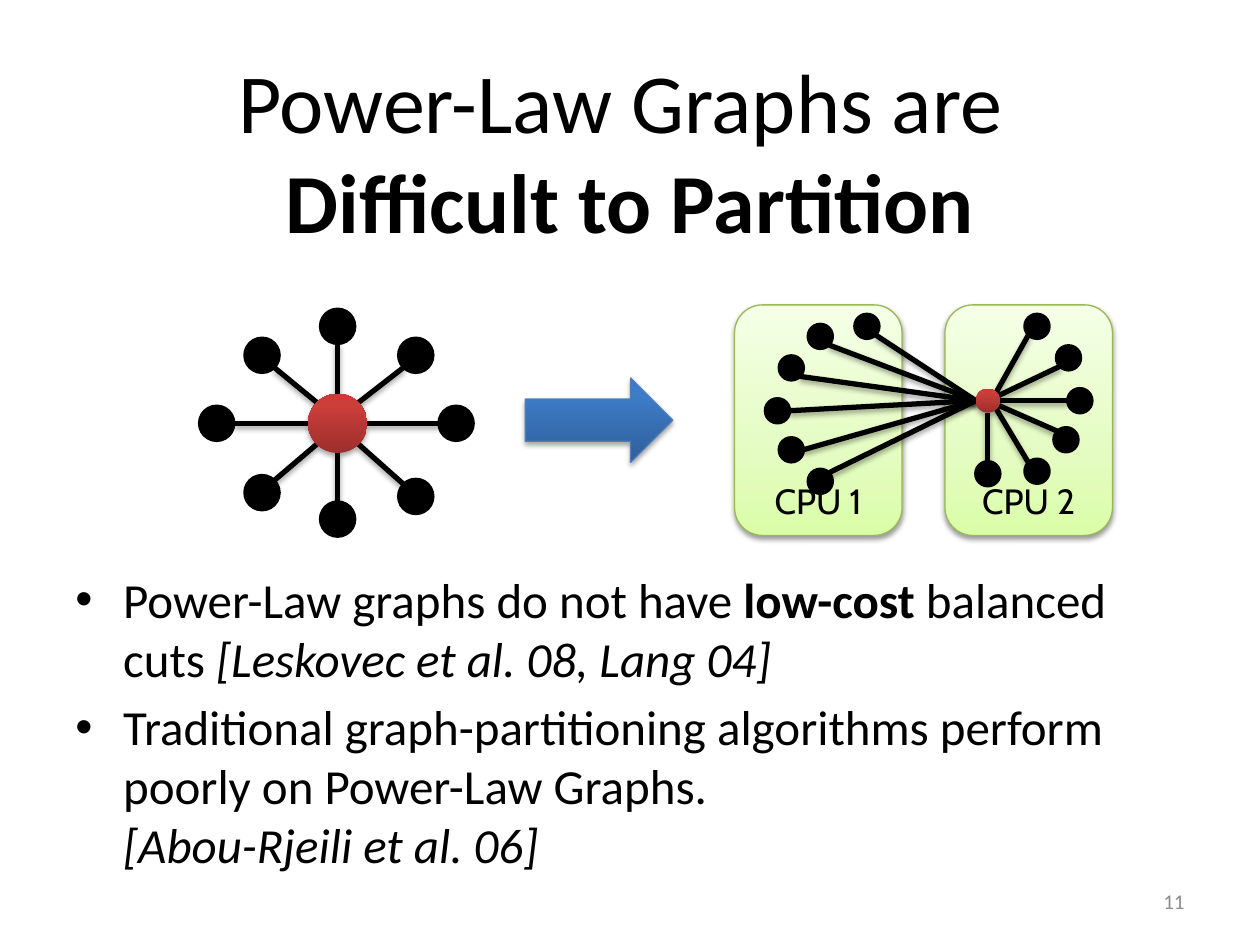
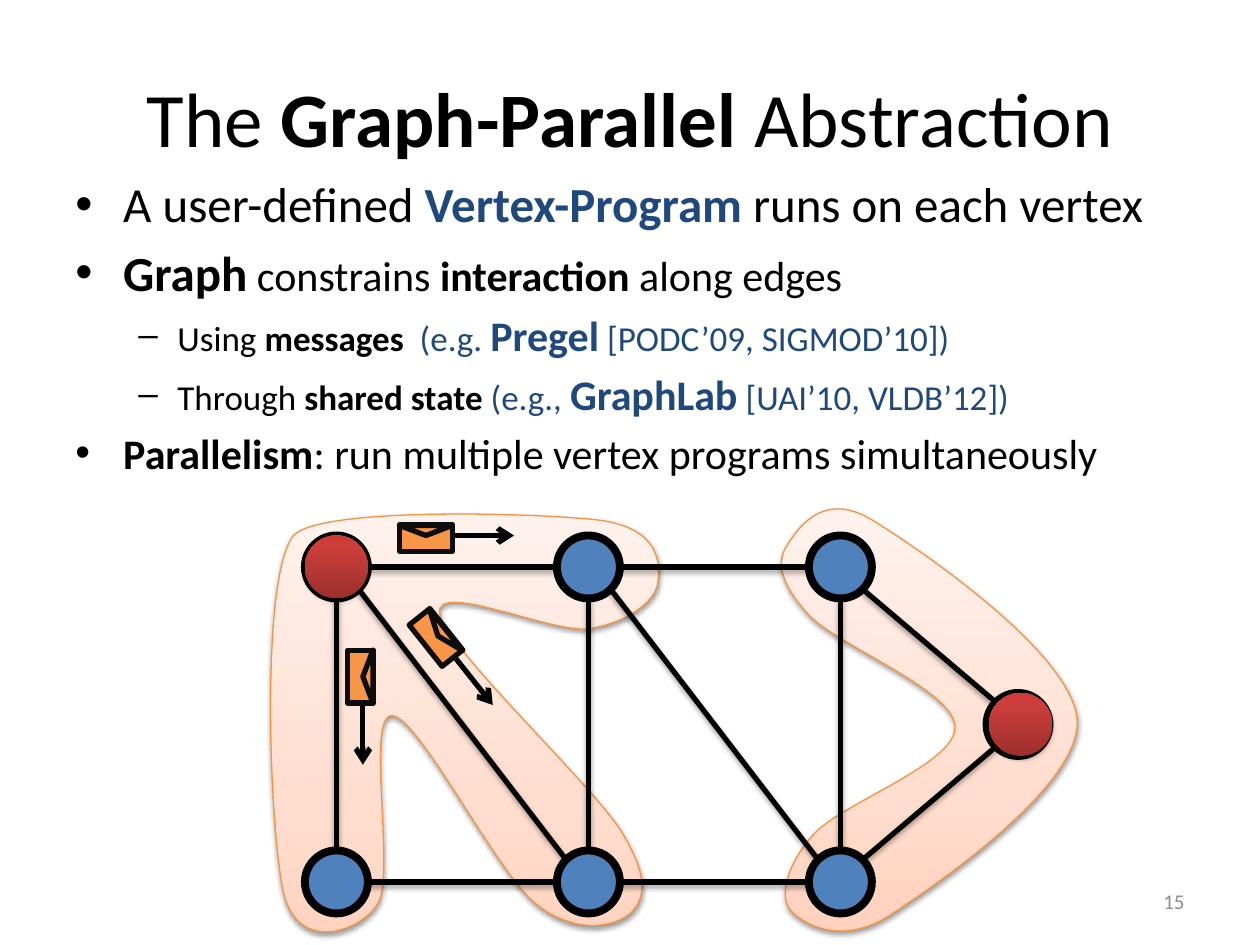
from copy import deepcopy
from math import cos, radians, sin

from lxml.etree import SubElement
from pptx import Presentation
from pptx.dml.color import RGBColor
from pptx.enum.shapes import MSO_CONNECTOR, MSO_SHAPE
from pptx.enum.text import MSO_ANCHOR, PP_ALIGN
from pptx.oxml.ns import qn
from pptx.util import Inches, Pt

# Shared colours: a list holds gradient stops from bottom to top
BLACK, NAVY, GRAY, BLUE, ORANGE = "000000", "1F497D", "8C8C8C", "4F81BD", "F79646"
RED = [(0, "9C2F2D"), (0.8, "CB3E3A"), (1, "CE3B37")]
GREEN = [(0, "DAFDA7"), (0.35, "E4FCC2"), (1, "F5FFE7")]
PEACH = [(0, "FFD2BD"), (0.35, "FFDED0"), (1, "FFF2ED")]
ARROW_BLUE = [(0, "2F5F99"), (0.8, "3D7CC7"), (1, "3A7CCB")]

# Shadow as (opacity in percent, distance in points)
LINE_SHADOW, AREA_SHADOW = (35, 1.8), (38, 1.6)

# Places on a circle, as offsets in radii
D = sin(radians(45))
SITES = {"C": (0, 0), "N": (0, -1), "S": (0, 1), "W": (-1, 0), "E": (1, 0),
         "NW": (-D, -D), "NE": (D, -D), "SW": (-D, D), "SE": (D, D)}

# Bullet levels: left margin, hanging indent, mark
LEVELS = [(0.38, -0.38, "•"), (0.81, -0.31, "–")]


def paint(shape, fill=None, line=None, width=0.75, shadow=None):
    """Set fill, outline and shadow of a shape or connector."""
    properties = shape._element.spPr
    if isinstance(fill, list):
        shape.fill.gradient()
        shape.fill.gradient_angle = 90
        stops = properties.find(".//" + qn("a:gsLst"))
        stops.append(deepcopy(stops[0]))
        for stop, (position, color) in zip(shape.fill.gradient_stops, fill):
            stop.position = position
            stop.color.rgb = RGBColor.from_string(color)
    elif fill:
        shape.fill.solid()
        shape.fill.fore_color.rgb = RGBColor.from_string(fill)
    if line:
        shape.line.color.rgb = RGBColor.from_string(line)
        shape.line.width = Pt(width)
    else:
        shape.line.fill.background()
    effects = SubElement(properties, qn("a:effectLst"))
    if shadow:
        opacity, distance = shadow
        outer = SubElement(effects, qn("a:outerShdw"), blurRad=str(Pt(3.1)),
                           dist=str(Pt(distance)), dir="5400000", rotWithShape="0")
        color = SubElement(outer, qn("a:srgbClr"), val=BLACK)
        SubElement(color, qn("a:alpha"), val=str(opacity * 1000))


def write(frame, runs, align=PP_ALIGN.LEFT, level=None, font="Calibri"):
    """Add a paragraph of (text, size, style, colour) runs; "\\n" breaks the line."""
    paragraph = frame.paragraphs[0]
    if paragraph.runs:
        paragraph = frame.add_paragraph()
    paragraph.alignment = align
    if level is not None:
        margin, indent, mark = LEVELS[level]
        properties = paragraph._p.get_or_add_pPr()
        properties.set("marL", str(Inches(margin)))
        properties.set("indent", str(Inches(indent)))
        spacing = SubElement(properties, qn("a:spcBef"))
        SubElement(spacing, qn("a:spcPct"), val="20000")
        SubElement(properties, qn("a:buFont"), typeface="Arial")
        SubElement(properties, qn("a:buChar"), char=mark)
    for text, size, style, color in runs:
        if text == "\n":
            paragraph.add_line_break()
            continue
        run = paragraph.add_run()
        run.text = text
        run.font.name = font
        run.font.size = Pt(size)
        run.font.bold = "b" in style
        run.font.italic = "i" in style
        run.font.color.rgb = RGBColor.from_string(color)


presentation = Presentation()
presentation.slide_width, presentation.slide_height = Inches(10), Inches(7.5)
blank = presentation.slide_layouts[6]
partition_slide = presentation.slides.add_slide(blank)
abstraction_slide = presentation.slides.add_slide(blank)

# Neighbourhood areas: bounds, then a start point and curves of two handles and an end
AREAS = [
    ((6.2, 4.04, 2.34, 3.35), [
     (8.55, 5.72),
     (8.52, 5.19), (7.29, 4.35), (6.91, 4.12), (6.52, 3.89), (6.32, 4.21), (6.24, 4.34),
     (6.16, 4.47), (6.2, 4.64), (6.42, 4.88), (6.64, 5.12), (7.58, 5.48), (7.58, 5.77),
     (7.59, 6.06), (6.67, 6.38), (6.46, 6.62), (6.24, 6.86), (6.18, 7.13), (6.28, 7.23),
     (6.38, 7.34), (6.69, 7.51), (7.07, 7.26), (7.45, 7.01), (8.57, 6.24), (8.55, 5.72)]),
    ((2.06, 4.02, 3.19, 3.55), [
     (2.33, 4.25),
     (2.54, 4.02), (4.29, 4.07), (4.77, 4.13), (5.25, 4.2), (5.24, 4.49), (5.22, 4.63),
     (5.2, 4.78), (4.96, 4.95), (4.67, 4.99), (4.38, 5.03), (3.45, 4.6), (3.49, 4.87),
     (3.53, 5.13), (4.66, 6.19), (4.92, 6.58), (5.17, 6.98), (5.11, 7.15), (5, 7.25),
     (4.89, 7.35), (4.57, 7.43), (4.25, 7.17), (3.93, 6.91), (3.32, 5.68), (3.11, 5.68),
     (2.9, 5.68), (3.14, 6.93), (3, 7.17), (2.86, 7.4), (2.36, 7.57), (2.25, 7.08),
     (2.14, 6.6), (2.06, 4.59), (2.33, 4.25)]),
]
for bounds, points in AREAS:
    left, top, width, height = [Inches(length) for length in bounds]
    corners = [(Inches(x), Inches(y)) for x, y in points[::3]]
    builder = abstraction_slide.shapes.build_freeform(*corners[0], scale=1.0)
    builder.add_line_segments(corners[1:], close=True)
    area = builder.convert_to_shape()
    area.left, area.top, area.width, area.height = left, top, width, height
    # Turn the straight segments into curves
    outline = area._element.spPr.find(".//" + qn("a:path"))
    outline.set("w", str(width))
    outline.set("h", str(height))
    for segment in list(outline):
        outline.remove(segment)
    for index, (x, y) in enumerate(points):
        if index == 0:
            segment = SubElement(outline, qn("a:moveTo"))
        elif index % 3 == 1:
            segment = SubElement(outline, qn("a:cubicBezTo"))
        SubElement(segment, qn("a:pt"), x=str(Inches(x) - left), y=str(Inches(y) - top))
    SubElement(outline, qn("a:close"))
    paint(area, PEACH, "F69240", shadow=AREA_SHADOW)

# Titles, bullets and page numbers
PAGES = [
    (partition_slide, "11", 1.78, (4.47, 9, 2.95),
     [("Power-Law Graphs are ", 48, "", BLACK), ("\n", 48, "", BLACK),
      ("Difficult to Partition", 48, "b", BLACK)],
     [(0, [("Power-Law graphs do not have ", 28, "", BLACK), ("low-cost", 28, "b", BLACK),
           (" balanced cuts ", 28, "", BLACK),
           ("[Leskovec et al. 08, Lang 04]", 28, "i", BLACK)]),
      (0, [("Traditional graph-partitioning algorithms perform poorly on Power-Law Graphs.",
            28, "", BLACK), ("\n", 28, "", BLACK),
           ("[Abou-Rjeili et al. 06]", 28, "i", BLACK)])]),
    (abstraction_slide, "15", 1.25, (1.33, 9.5, 2.5),
     [("The ", 44, "", BLACK), ("Graph-Parallel", 44, "b", BLACK),
      (" Abstraction", 44, "", BLACK)],
     [(0, [("A user-defined", 28, "", BLACK), (" Vertex-Program ", 28, "b", NAVY),
           ("runs on each vertex", 28, "", BLACK)]),
      (0, [("Graph", 28, "b", BLACK), (" constrains ", 24, "", BLACK),
           ("interaction", 24, "b", BLACK), (" along edges", 24, "", BLACK)]),
      (1, [("Using ", 20, "", BLACK), ("messages  ", 20, "b", BLACK),
           ("(e.g. ", 20, "", NAVY), ("Pregel", 24, "b", NAVY), (" ", 20, "b", NAVY),
           ("[PODC’09, SIGMOD’10])", 20, "", NAVY)]),
      (1, [("Through ", 20, "", BLACK), ("shared state ", 20, "b", BLACK),
           ("(e.g., ", 20, "", NAVY), ("GraphLab", 24, "b", NAVY), (" ", 20, "b", NAVY),
           ("[UAI’10, VLDB’12])", 20, "", NAVY)]),
      (0, [("Parallelism", 24, "b", BLACK),
           (": run multiple vertex programs simultaneously", 24, "", BLACK)])]),
]
for slide, number, title_height, (body_top, body_width, body_height), title, bullets in PAGES:
    frames = []
    for left, top, width, height, anchor in [
            (0.5, 0.3, 9, title_height, MSO_ANCHOR.MIDDLE),
            (0.5, body_top, body_width, body_height, MSO_ANCHOR.TOP),
            (7.17, 6.95, 2.33, 0.4, MSO_ANCHOR.MIDDLE)]:
        frame = slide.shapes.add_textbox(Inches(left), Inches(top),
                                         Inches(width), Inches(height)).text_frame
        frame.word_wrap = True
        frame.vertical_anchor = anchor
        frames.append(frame)
    title_frame, body_frame, number_frame = frames
    write(title_frame, title, PP_ALIGN.CENTER)
    for level, runs in bullets:
        write(body_frame, runs, level=level)
    write(number_frame, [(number, 12, "", GRAY)], PP_ALIGN.RIGHT)

# Processor boxes
for left, label in [(5.83, "CPU 1"), (7.5, "CPU 2")]:
    box = partition_slide.shapes.add_shape(MSO_SHAPE.ROUNDED_RECTANGLE, Inches(left),
                                           Inches(2.42), Inches(1.33), Inches(1.83))
    paint(box, GREEN, "98B955", shadow=AREA_SHADOW)
    box.text_frame.word_wrap = False
    box.text_frame.vertical_anchor = MSO_ANCHOR.BOTTOM
    write(box.text_frame, [(label, 20, "", BLACK)], PP_ALIGN.CENTER, font="Cabin")

# Whole star: each leaf faces the hub
OPPOSITE = {"N": "S", "S": "N", "W": "E", "E": "W",
            "NW": "SE", "SE": "NW", "NE": "SW", "SW": "NE"}
star_nodes = {"hub": (2.68, 3.36), "N": (2.68, 2.59), "S": (2.68, 4.12), "W": (1.72, 3.36),
              "E": (3.62, 3.36), "NW": (2.08, 2.82), "NE": (3.3, 2.82),
              "SW": (2.08, 3.91), "SE": (3.3, 3.94)}
star_edges = [("hub", site, site, OPPOSITE[site]) for site in OPPOSITE]

# Split star: leaf centre, site on the hub, site on the leaf
SPLIT_LEAVES = [
    (6.28, 2.92, "W", "SE"), (8.48, 2.84, "C", "SW"), (8.46, 3.49, "C", "NW"),
    (6.28, 3.57, "W", "E"), (6.51, 2.67, "W", "SE"), (8.23, 2.59, "NE", "SW"),
    (6.88, 2.59, "W", "SE"), (8.57, 3.18, "E", "W"), (6.17, 3.26, "W", "E"),
    (7.84, 3.76, "S", "N"), (6.51, 3.82, "W", "NE"), (8.23, 3.74, "SE", "NW")]
split_nodes = {"hub": (7.84, 3.18)}
split_edges = []
for index, (x, y, hub_site, leaf_site) in enumerate(SPLIT_LEAVES):
    split_nodes[index] = (x, y)
    split_edges.append(("hub", hub_site, index, leaf_site))

# Vertex graph: two rows of three, and one vertex at the right
vertex_nodes = {(row, column): (2.67 + 2 * column, 4.5 + 2.5 * row)
                for row in range(2) for column in range(3)}
vertex_nodes["right"] = (8.08, 5.75)
vertex_edges = [((row, column), "E", (row, column + 1), "W")
                for row in range(2) for column in range(2)]
vertex_edges += [((0, column), "S", (1, column), "N") for column in range(3)]
vertex_edges += [((0, column), "SE", (1, column + 1), "NW") for column in range(2)]
vertex_edges += [((0, 2), "SE", "right", "NW"), ((1, 2), "NE", "right", "SW")]

# Draw the graphs: edges below nodes
GRAPHS = [(partition_slide, star_nodes, star_edges, 0.235, 0.135, BLACK, 2),
          (partition_slide, split_nodes, split_edges, 0.095, 0.095, BLACK, 2),
          (abstraction_slide, vertex_nodes, vertex_edges, 0.25, 0.25, BLUE, 4.5)]
for slide, nodes, edges, hub_radius, node_radius, node_fill, outline_width in GRAPHS:
    for start, start_site, end, end_site in edges:
        ends = []
        for name, site in [(start, start_site), (end, end_site)]:
            radius = hub_radius if name == "hub" else node_radius
            ends += [Inches(center + radius * offset)
                     for center, offset in zip(nodes[name], SITES[site])]
        edge = slide.shapes.add_connector(MSO_CONNECTOR.STRAIGHT, *ends)
        paint(edge, line=BLACK, width=3, shadow=LINE_SHADOW)
    for name, (x, y) in nodes.items():
        radius = hub_radius if name == "hub" else node_radius
        node = slide.shapes.add_shape(MSO_SHAPE.OVAL, Inches(x - radius), Inches(y - radius),
                                      Inches(2 * radius), Inches(2 * radius))
        if name == "hub":
            paint(node, RED, shadow=LINE_SHADOW)
        else:
            paint(node, node_fill, BLACK, outline_width)

# Arrow from the whole star to the split one
arrow = partition_slide.shapes.add_shape(MSO_SHAPE.RIGHT_ARROW, Inches(4.17), Inches(3),
                                         Inches(1.17), Inches(0.67))
paint(arrow, ARROW_BLUE, "4B7EBC", shadow=LINE_SHADOW)

# Messages: an envelope and the arrow ahead of it, turned together
for x, y, angle in [(3.38, 4.27, 0), (3.46, 5.06, 51.5), (2.86, 5.37, 90)]:
    ahead_x, ahead_y = cos(radians(angle)), sin(radians(angle))
    ends = []
    for distance in (0.2, 0.7):
        ends += [Inches(x + distance * ahead_x + 0.02 * ahead_y),
                 Inches(y + distance * ahead_y - 0.02 * ahead_x)]
    pointer = abstraction_slide.shapes.add_connector(MSO_CONNECTOR.STRAIGHT, *ends)
    paint(pointer, line=BLACK, width=3)
    SubElement(pointer._element.spPr.find(qn("a:ln")), qn("a:tailEnd"), type="arrow")
    for kind, height, lift, turn in [(MSO_SHAPE.RECTANGLE, 0.21, 0, 0),
                                     (MSO_SHAPE.ISOSCELES_TRIANGLE, 0.08, 0.06, 180)]:
        part = abstraction_slide.shapes.add_shape(
            kind, Inches(x + lift * ahead_y - 0.21), Inches(y - lift * ahead_x - height / 2),
            Inches(0.42), Inches(height))
        part.rotation = angle + turn
        paint(part, ORANGE, "0D0D0D", 3)

# Running vertices
for left, top in [(7.85, 5.5), (2.42, 4.25)]:
    running = abstraction_slide.shapes.add_shape(MSO_SHAPE.OVAL, Inches(left), Inches(top),
                                                 Inches(0.5), Inches(0.5))
    paint(running, RED, shadow=LINE_SHADOW)

presentation.save("out.pptx")
